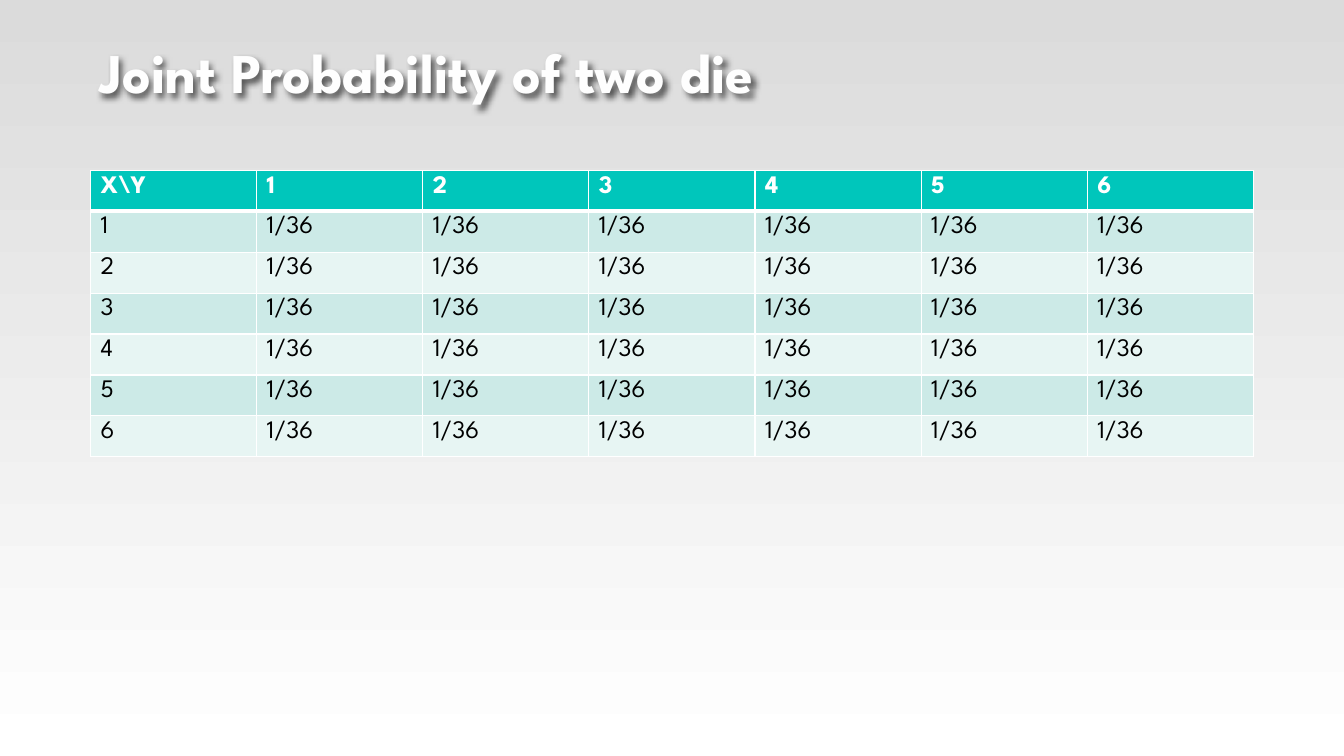
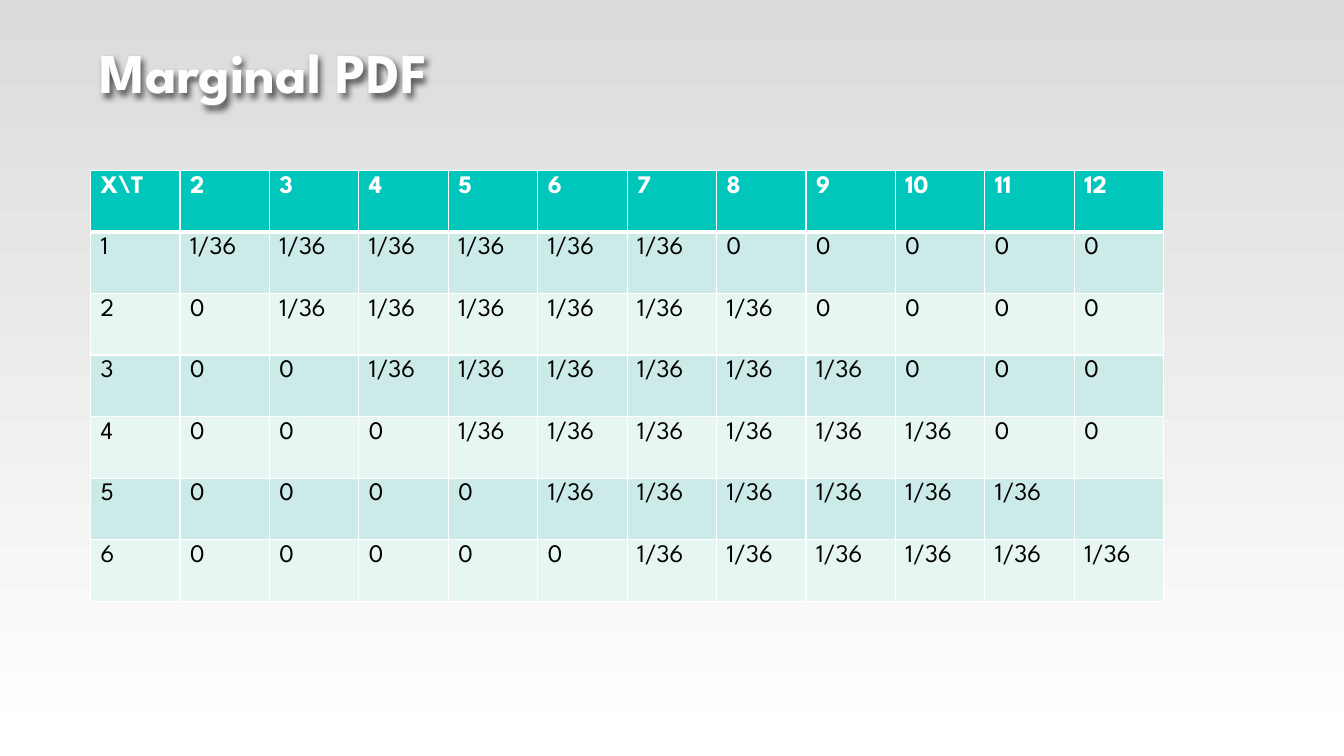
"""Build two slides of probability tables for a pair of dice."""
from dataclasses import dataclass

from lxml.etree import SubElement
from pptx import Presentation
from pptx.dml.color import RGBColor
from pptx.enum.text import MSO_ANCHOR as Anchor, MSO_AUTO_SIZE as AutoSize, PP_ALIGN as Align
from pptx.oxml.ns import qn
from pptx.util import Inches, Pt

FONT = "League Spartan"
TITLE_COLOR = RGBColor(0xFE, 0xFE, 0xFE)
WHITE = RGBColor(0xFF, 0xFF, 0xFF)
BLACK = RGBColor(0x00, 0x00, 0x00)
BACKDROP_TOP = RGBColor(0xDB, 0xDB, 0xDB)
HEADER_FILL = RGBColor(0x00, 0xC6, 0xBB)
BAND_FILLS = (RGBColor(0xE7, 0xF5, 0xF3), RGBColor(0xCC, 0xEA, 0xE7))

SLIDE_WIDTH, SLIDE_HEIGHT = Inches(13.33), Inches(7.5)
GRID_COLUMNS, GRID_ROWS = 15, 75
TITLE_BOX = (1, 4.9, 13, 6)
TABLE_LEFT, TABLE_TOP = 1.01, 16.9
THIN, THICK = Pt(1), Pt(3)

FACES = range(1, 7)
TOTALS = range(2, 13)
CHANCE = "1/36"
BLANK_CELL = (5, 12)


@dataclass(frozen=True)
class TableSlide:
    title: str
    rows: list[list[str]]
    width: float
    row_height: float


def across(columns: float) -> int:
    return round(SLIDE_WIDTH * columns / GRID_COLUMNS)


def down(rows: float) -> int:
    return round(SLIDE_HEIGHT * rows / GRID_ROWS)


def total_chance(face: int, total: int) -> str:
    if (face, total) == BLANK_CELL:
        return ""
    return CHANCE if total - face in FACES else "0"


def joint_rows() -> list[list[str]]:
    header = ["X\\Y", *map(str, FACES)]
    return [header] + [[str(face)] + [CHANCE] * len(FACES) for face in FACES]


def total_rows() -> list[list[str]]:
    header = ["X\\T", *map(str, TOTALS)]
    return [header] + [
        [str(face)] + [total_chance(face, total) for total in TOTALS] for face in FACES
    ]


def add_run(paragraph, text: str, size: int, color: RGBColor, bold: bool) -> None:
    run = paragraph.add_run()
    run.text = text
    run.font.name = FONT
    run.font.size = Pt(size)
    run.font.bold = bold
    run.font.color.rgb = color


def add_shadow(shape) -> None:
    effects = SubElement(shape._element.spPr, qn("a:effectLst"))
    shadow = SubElement(
        effects, qn("a:outerShdw"), blurRad=str(Pt(4)), dist=str(Pt(3)), dir="2700000"
    )
    color = SubElement(shadow, qn("a:srgbClr"), val=str(BLACK))
    SubElement(color, qn("a:alpha"), val="60000")


def set_title(slide, text: str) -> None:
    title = slide.shapes.title
    left, top, width, height = TITLE_BOX
    title.left, title.top = across(left), down(top)
    title.width, title.height = across(width), down(height)
    add_shadow(title)
    frame = title.text_frame
    frame.word_wrap = True
    frame.auto_size = AutoSize.NONE
    frame.vertical_anchor = Anchor.BOTTOM
    paragraph = frame.paragraphs[0]
    paragraph.alignment = Align.LEFT
    add_run(paragraph, text, 40, TITLE_COLOR, True)


def set_borders(cell, row: int) -> None:
    widths = {
        "L": THIN,
        "R": THIN,
        "T": THICK if row == 1 else THIN,
        "B": THICK if row == 0 else THIN,
    }
    properties = cell._tc.get_or_add_tcPr()
    for side, width in widths.items():
        line = SubElement(properties, qn(f"a:ln{side}"), w=str(width))
        fill = SubElement(line, qn("a:solidFill"))
        SubElement(fill, qn("a:srgbClr"), val=str(WHITE))


def fill_cell(cell, text: str, row: int) -> None:
    is_header = row == 0
    set_borders(cell, row)
    cell.fill.solid()
    cell.fill.fore_color.rgb = HEADER_FILL if is_header else BAND_FILLS[row % 2]
    if text:
        color = WHITE if is_header else BLACK
        add_run(cell.text_frame.paragraphs[0], text, 18, color, is_header)


def add_table(slide, content: TableSlide) -> None:
    row_count, column_count = len(content.rows), len(content.rows[0])
    table = slide.shapes.add_table(
        row_count, column_count, across(TABLE_LEFT), down(TABLE_TOP),
        across(content.width), down(content.row_height * row_count),
    ).table
    table.horz_banding = False
    for row, texts in enumerate(content.rows):
        for column, text in enumerate(texts):
            fill_cell(table.cell(row, column), text, row)


def set_backdrop(master) -> None:
    fill = master.background.fill
    fill.gradient()
    fill.gradient_angle = 270
    for stop, color in zip(fill.gradient_stops, (BACKDROP_TOP, WHITE)):
        stop.color.rgb = color


def main() -> None:
    presentation = Presentation()
    presentation.slide_width, presentation.slide_height = SLIDE_WIDTH, SLIDE_HEIGHT
    set_backdrop(presentation.slide_master)
    title_only = presentation.slide_layouts.get_by_name("Title Only")
    for content in (
        TableSlide("Joint Probability of two die", joint_rows(), 12.98, 4.06),
        TableSlide("Marginal PDF", total_rows(), 11.98, 6.11),
    ):
        slide = presentation.slides.add_slide(title_only)
        set_title(slide, content.title)
        add_table(slide, content)
    presentation.save("out.pptx")


if __name__ == "__main__":
    main()
